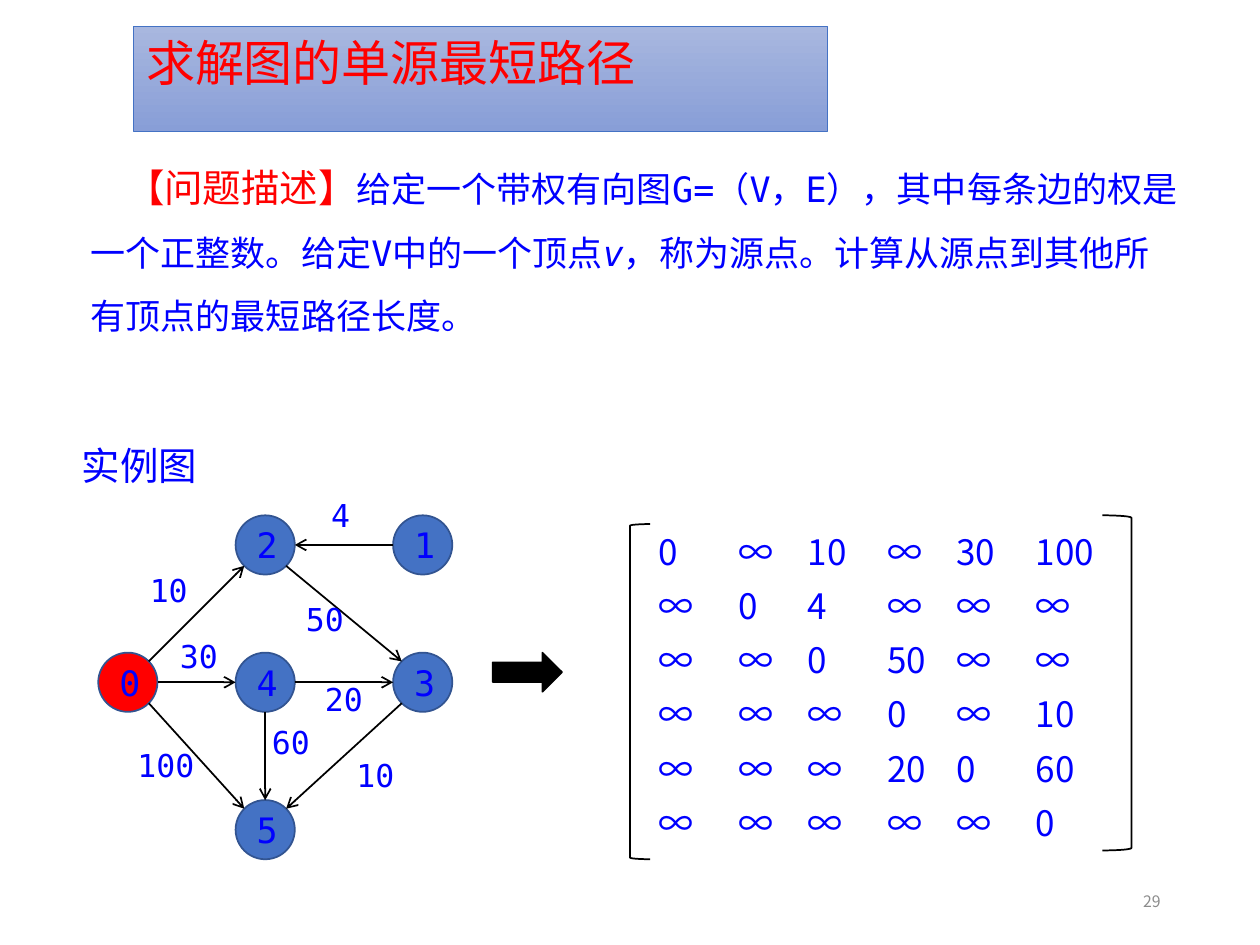
from math import hypot

from lxml import etree
from pptx import Presentation
from pptx.dml.color import RGBColor
from pptx.enum.shapes import MSO_CONNECTOR, MSO_SHAPE
from pptx.enum.text import MSO_ANCHOR, MSO_AUTO_SIZE, PP_ALIGN
from pptx.oxml.ns import qn
from pptx.util import Inches, Pt

LEFT, CENTER, RIGHT = PP_ALIGN.LEFT, PP_ALIGN.CENTER, PP_ALIGN.RIGHT
TOP, MIDDLE = MSO_ANCHOR.TOP, MSO_ANCHOR.MIDDLE
OVAL, ARROW = MSO_SHAPE.OVAL, MSO_SHAPE.RIGHT_ARROW
LEFT_BRACKET, RIGHT_BRACKET = MSO_SHAPE.LEFT_BRACKET, MSO_SHAPE.RIGHT_BRACKET
STRAIGHT = MSO_CONNECTOR.STRAIGHT
FIT_SHAPE, NO_FIT = MSO_AUTO_SIZE.SHAPE_TO_FIT_TEXT, MSO_AUTO_SIZE.NONE

MONO, SANS = "DejaVu Sans Mono", "Noto Sans CJK SC"
COLORS = {
    "text": "0000FF", "accent": "FF0000", "node": "4472C4", "outline": "325491",
    "black": "000000", "number": "8C8C8C", "grad_top": "A8B7DF", "grad_bottom": "889ED7",
}
NODE = 0.47
NODES = {0: (0, 1.09), 2: (1.09, 0), 4: (1.09, 1.09),
         3: (2.34, 1.09), 5: (1.09, 2.26), 1: (2.34, 0)}
EDGES = [
    (0, 2, "10", 0.31, 0.39), (0, 5, "100", 0.31, 1.78), (0, 4, "30", 0.55, 0.92),
    (2, 3, "50", 1.55, 0.62), (4, 3, "20", 1.70, 1.26), (3, 5, "10", 1.95, 1.86),
    (1, 2, "4", 1.75, -0.20), (4, 5, "60", 1.28, 1.60),
]
MATRIX = [
    "0 ∞ 10 ∞ 30 100", "∞ 0 4 ∞ ∞ ∞", "∞ ∞ 0 50 ∞ ∞",
    "∞ ∞ ∞ 0 ∞ 10", "∞ ∞ ∞ 20 0 60", "∞ ∞ ∞ ∞ ∞ 0",
]


def rgb(name):
    return RGBColor.from_string(COLORS[name])


def inches(box):
    return [Inches(v) for v in box]


def place(sp, box):
    sp.left, sp.top, sp.width, sp.height = inches(box)


def add_run(p, text, size, color="text", font=MONO, italic=False):
    r = p.add_run()
    r.text = text
    r.font.size = Pt(size)
    r.font.italic = italic
    r.font.color.rgb = rgb(color)
    r.font.name = font
    etree.SubElement(r.font._element, qn("a:ea"), typeface=SANS)


def add_text(s, box, text, size, color="text", font=MONO, align=LEFT,
             anchor=TOP, side=0.1, fit=FIT_SHAPE):
    tf = s.shapes.add_textbox(*inches(box)).text_frame
    tf.word_wrap = True
    tf.auto_size = fit
    tf.vertical_anchor = anchor
    tf.margin_left = tf.margin_right = Inches(side)
    p = tf.paragraphs[0]
    p.alignment = align
    add_run(p, text, size, color, font)


def add_shape(s, kind, box, fill=None, line="black"):
    sp = s.shapes.add_shape(kind, *inches(box))
    sp.shadow.inherit = False
    if fill:
        sp.fill.solid()
        sp.fill.fore_color.rgb = rgb(fill)
    else:
        sp.fill.background()
    sp.line.color.rgb = rgb(line)
    sp.line.width = Pt(1)
    return sp


def add_title(s, box):
    sp = s.shapes.title
    place(sp, box)
    sp.fill.gradient()
    sp.fill.gradient_angle = 270
    for stop, color in zip(sp.fill.gradient_stops, ("grad_top", "grad_bottom")):
        stop.color.rgb = rgb(color)
    sp.line.color.rgb = rgb("node")
    sp.line.width = Pt(0.5)
    tf = sp.text_frame
    tf.auto_size = FIT_SHAPE
    tf.vertical_anchor = TOP
    p = tf.paragraphs[0]
    p.alignment = LEFT
    add_run(p, "求解图的单源最短路径", 28, "accent")


def add_problem(s, box):
    sp = s.placeholders[1]
    place(sp, box)
    tf = sp.text_frame
    tf.auto_size = FIT_SHAPE
    p = tf.paragraphs[0]
    pPr = p._p.get_or_add_pPr()
    pPr.set("marL", "0")
    pPr.set("indent", str(Inches(0.28)))
    etree.SubElement(pPr, qn("a:buNone"))
    p.line_spacing = 1.5
    p.space_before = Pt(0)
    add_run(p, "【问题描述】", 22, "accent", SANS)
    add_run(p, "给定一个带权有向图G=（V，E），其中每条边的权是一个正整数。给定V中的一个顶点", 20)
    add_run(p, "v", 20, italic=True)
    add_run(p, "，称为源点。计算从源点到其他所有顶点的最短路径长度。", 20)


def add_edge(s, start, end):
    signs = [(b > a) - (b < a) for a, b in zip(start, end)]
    reach = NODE / 2 / hypot(*signs)
    begin = [c + reach * d for c, d in zip(start, signs)]
    finish = [c - reach * d for c, d in zip(end, signs)]
    cx = s.shapes.add_connector(STRAIGHT, *inches(begin + finish))
    cx.line.color.rgb = rgb("black")
    cx.line.width = Pt(1)
    etree.SubElement(cx.line._get_or_add_ln(), qn("a:tailEnd"), type="arrow")
    etree.SubElement(cx._element.spPr, qn("a:effectLst"))


def add_graph(s, box):
    left, top = box[:2]
    centers = {}
    for name, (dx, dy) in NODES.items():
        x, y = left + dx, top + dy
        centers[name] = (x + NODE / 2, y + NODE / 2)
        sp = add_shape(s, OVAL, (x, y, NODE, NODE),
                       "node" if name else "accent", "outline")
        tf = sp.text_frame
        tf.vertical_anchor = MIDDLE
        p = tf.paragraphs[0]
        p.alignment = CENTER
        add_run(p, str(name), 20)
    for start, end, weight, dx, dy in EDGES:
        add_edge(s, centers[start], centers[end])
        add_text(s, (left + dx, top + dy, 0.55, 0.4), weight, 18,
                 side=0 if len(weight) > 2 else 0.1)


def add_matrix(s, box):
    left, top, width, height = box
    bracket = height - 0.07
    for i, row in enumerate(MATRIX):
        for j, value in enumerate(row.split()):
            x = left + 0.23 + j // 2 * 1.18 + j % 2 * 0.63
            add_text(s, (x, top + 0.07 + i * 0.43, 0.55, 0.44), value, 20,
                     font=SANS, side=0)
    add_shape(s, LEFT_BRACKET, (left, top + 0.07, 0.16, bracket))
    add_shape(s, RIGHT_BRACKET, (left + width - 0.23, top, 0.23, bracket))


def main():
    prs = Presentation()
    prs.slide_width, prs.slide_height = Inches(10), Inches(7.5)
    s = prs.slides.add_slide(prs.slide_layouts[1])
    add_title(s, (1.06, 0.21, 5.51, 0.57))
    add_problem(s, (0.62, 1.07, 8.83, 1.67))
    add_text(s, (0.55, 3.46, 1.41, 0.47), "实例图", 22)
    add_graph(s, (0.78, 4.09, 2.81, 2.73))
    add_shape(s, ARROW, (3.91, 5.18, 0.55, 0.31), "black")
    add_matrix(s, (5, 4.09, 3.98, 2.73))
    add_text(s, (7.06, 6.95, 2.25, 0.4), "29", 9, "number", SANS,
             RIGHT, MIDDLE, fit=NO_FIT)
    prs.save("out.pptx")


if __name__ == "__main__":
    main()
